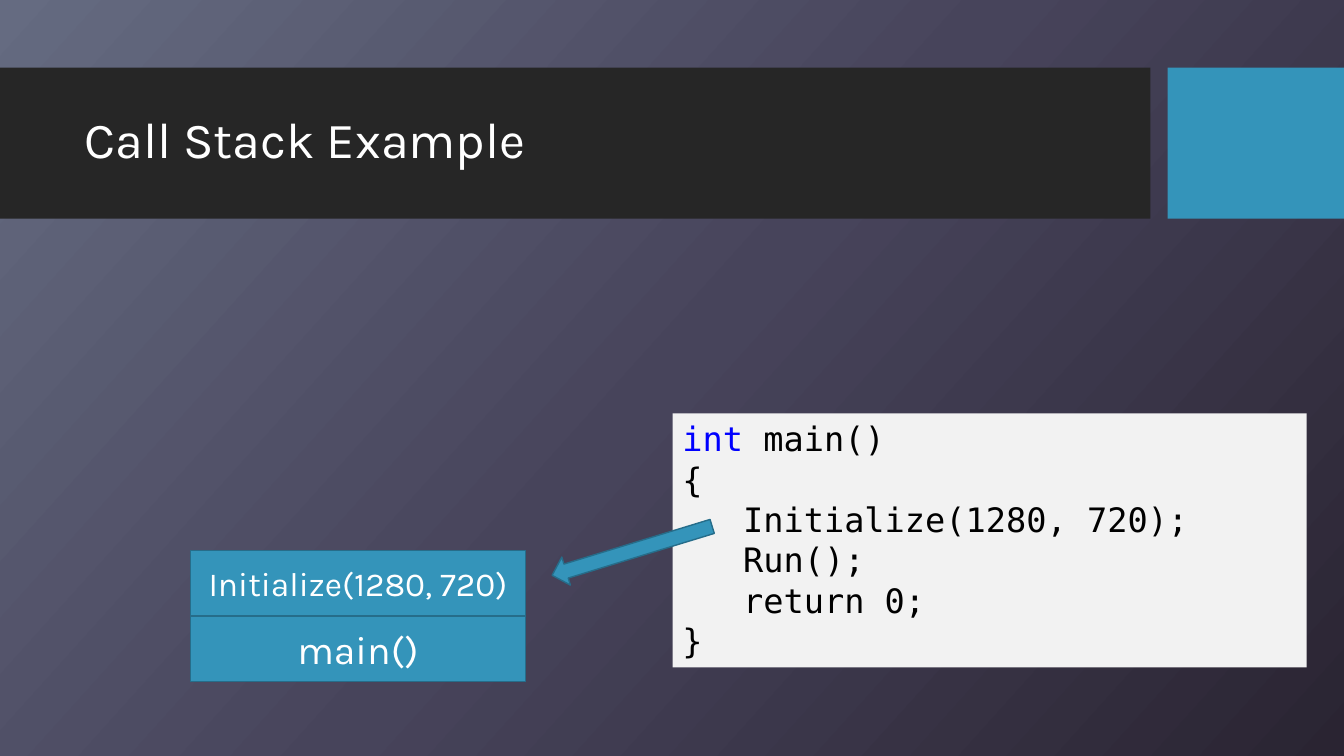
from copy import deepcopy
from dataclasses import dataclass

from pptx import Presentation
from pptx.dml.color import RGBColor
from pptx.enum.shapes import MSO_SHAPE
from pptx.enum.text import MSO_ANCHOR, MSO_AUTO_SIZE, PP_ALIGN
from pptx.oxml.ns import qn
from pptx.util import Inches, Pt

RECT, ARROW = MSO_SHAPE.RECTANGLE, MSO_SHAPE.LEFT_ARROW
LEFT, CENTER = PP_ALIGN.LEFT, PP_ALIGN.CENTER
TOP, MIDDLE = MSO_ANCHOR.TOP, MSO_ANCHOR.MIDDLE
GROW = MSO_AUTO_SIZE.SHAPE_TO_FIT_TEXT


@dataclass(frozen=True)
class Theme:
    """Colours, fonts and type sizes of the slide."""
    back: tuple = ((0, "656B81"), (0.5, "47445B"), (1, "2A2432"))
    angle: int = 318
    band: str = "262626"
    accent: str = "3494BA"
    edge: str = "266D8A"
    panel: str = "F2F2F2"
    white: str = "FFFFFF"
    black: str = "000000"
    key: str = "0000FF"
    sans: str = "Karla"
    mono: str = "DejaVu Sans Mono"
    title: int = 36
    large: int = 28
    small: int = 24


THEME = Theme()
CODE = (
    (("int", THEME.key), (" main()", THEME.black)),
    (("{", THEME.black),),
    (("   Initialize(1280, 720);", THEME.black),),
    (("   Run();", THEME.black),),
    (("   return 0;", THEME.black),),
    (("}", THEME.black),),
)
FRAMES = (("Initialize(1280, 720)", THEME.small), ("main()", THEME.large))


def add_run(para, text, size, font, color):
    """Add one styled run to a paragraph."""
    run = para.add_run()
    run.text = text
    run.font.size = Pt(size)
    run.font.name = font
    run.font.color.rgb = RGBColor.from_string(color)


def add_block(slide, kind, box, fill, edge=None):
    """Add a flat filled shape, outlined if an edge colour is given."""
    shape = slide.shapes.add_shape(kind, *map(Inches, box))
    shape.shadow.inherit = False
    shape.fill.solid()
    shape.fill.fore_color.rgb = RGBColor.from_string(fill)
    if edge:
        shape.line.color.rgb = RGBColor.from_string(edge)
        shape.line.width = Pt(1)
    else:
        shape.line.fill.background()
    return shape


def paint_back(slide):
    """Fill the background with the three-stop gradient."""
    fill = slide.background.fill
    fill.gradient()
    fill.gradient_angle = THEME.angle
    stops = slide.element.find(".//" + qn("a:gsLst"))
    stops.append(deepcopy(stops[0]))
    for stop, (place, color) in zip(fill.gradient_stops, THEME.back):
        stop.position = place
        stop.color.rgb = RGBColor.from_string(color)


def add_header(slide, box, text):
    """Draw the title band and its accent block across the box."""
    left, top, width, height = box
    tab, gap = 1.75, 0.17
    band = width - tab - gap
    title = slide.shapes.title
    for x, wide, color in ((left, band, THEME.band),
                           (left + width - tab, tab, THEME.accent)):
        bar = add_block(slide, RECT, (x, top, wide, height), color)
        title.element.addprevious(bar.element)
    title.left, title.top = Inches(left + 0.74), Inches(top + 0.15)
    title.width, title.height = Inches(10.51), Inches(1.18)
    frame = title.text_frame
    frame.word_wrap = True
    frame.vertical_anchor = MIDDLE
    para = frame.paragraphs[0]
    para.alignment = LEFT
    para.line_spacing = 0.9
    add_run(para, text, THEME.title, THEME.sans, THEME.white)


def add_stack(slide, box, calls):
    """Divide the box evenly into stacked call frames."""
    left, top, width, height = box
    step = height / len(calls)
    for row, (text, size) in enumerate(calls):
        cell = (left, top + row * step, width, step)
        shape = add_block(slide, RECT, cell, THEME.accent, THEME.edge)
        shape.text_frame.vertical_anchor = MIDDLE
        para = shape.text_frame.paragraphs[0]
        para.alignment = CENTER
        add_run(para, text, size, THEME.sans, THEME.white)


def add_code(slide, box, lines):
    """Place the code panel in the box."""
    frame = add_block(slide, RECT, box, THEME.panel).text_frame
    frame.word_wrap = True
    frame.auto_size = GROW
    frame.vertical_anchor = TOP
    for row, line in enumerate(lines):
        para = frame.add_paragraph() if row else frame.paragraphs[0]
        para.alignment = LEFT
        for text, color in line:
            add_run(para, text, THEME.small, THEME.mono, color)


def add_arrow(slide, box, turn):
    """Point from the code to the stack with a turned arrow."""
    arrow = add_block(slide, ARROW, box, THEME.accent, THEME.edge)
    arrow.rotation = turn


def main():
    """Build and save the slide."""
    deck = Presentation()
    deck.slide_width, deck.slide_height = Inches(13.33), Inches(7.5)
    slide = deck.slides.add_slide(deck.slide_layouts[5])
    paint_back(slide)
    add_header(slide, (0, 0.67, 13.33, 1.5), "Call Stack Example")
    add_code(slide, (6.67, 4.1, 6.29, 2.52), CODE)
    add_stack(slide, (1.89, 5.46, 3.32, 1.3), FRAMES)
    add_arrow(slide, (5.44, 5.32, 1.66, 0.29), 343)
    deck.save("out.pptx")


if __name__ == "__main__":
    main()
